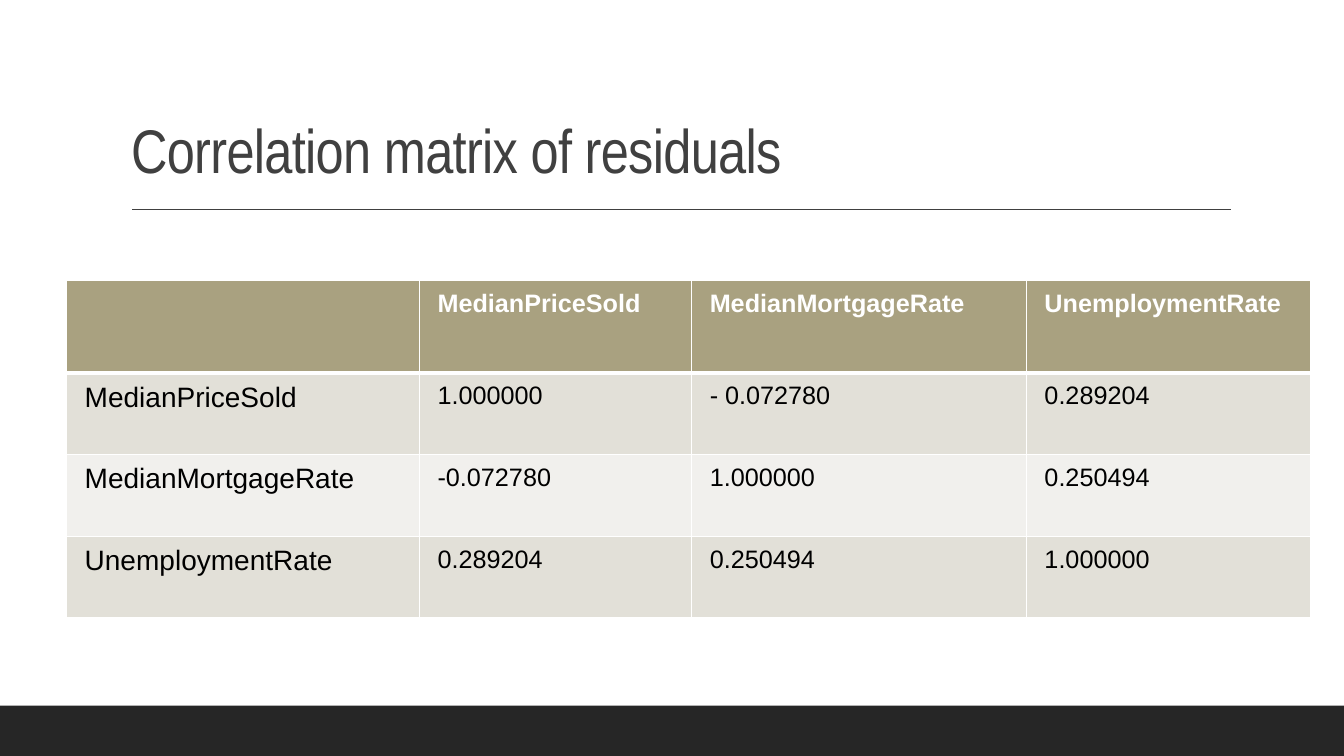
from lxml import etree
from pptx import Presentation
from pptx import util as u
from pptx.dml.color import RGBColor
from pptx.enum import shapes, text
from pptx.oxml.ns import qn

COLORS = {
    "paper": "FFFFFF", "title": "404040", "footer": "262626", "header": "A9A180",
    "odd": "E2E0D8", "even": "F1F0ED", "body": "000000",
}
VARIABLES = ["MedianPriceSold", "MedianMortgageRate", "UnemploymentRate"]
CORRELATIONS = [
    ["1.000000", "- 0.072780", "0.289204"],
    ["-0.072780", "1.000000", "0.250494"],
    ["0.289204", "0.250494", "1.000000"],
]
COLUMN_WIDTHS = [3.5, 2.7, 3.32, 2.82]
ROW_HEIGHTS = [0.92] + [0.81] * len(VARIABLES)


def color(name):
    return RGBColor.from_string(COLORS[name])


def add_border(cell, side, points):
    border = etree.SubElement(cell._tc.get_or_add_tcPr(), qn(f"a:ln{side}"), w=str(u.Pt(points)))
    fill = etree.SubElement(border, qn("a:solidFill"))
    etree.SubElement(fill, qn("a:srgbClr"), val=COLORS["paper"])


deck = Presentation()
deck.slide_width, deck.slide_height = u.Inches(13.33), u.Inches(7.5)
slide = deck.slides.add_slide(deck.slide_layouts[5])
slide.background.fill.solid()
slide.background.fill.fore_color.rgb = color("paper")

title = slide.shapes.title
title.left, title.top = u.Inches(1.2), u.Inches(0.31)
title.width, title.height = u.Inches(11), u.Inches(1.59)
title.text_frame.text = "Correlation matrix of residuals"
title.text_frame.vertical_anchor = text.MSO_ANCHOR.BOTTOM
heading = title.text_frame.paragraphs[0]
heading.alignment = text.PP_ALIGN.LEFT
heading.line_spacing = 0.9
heading_run = heading.runs[0]
heading_run.font.name = "Arial Narrow"
heading_run.font.size = u.Pt(44)
heading_run.font.color.rgb = color("title")
heading_run.font._element.set("spc", "-50")

rule = slide.shapes.add_connector(
    shapes.MSO_CONNECTOR.STRAIGHT,
    u.Inches(1.31), u.Inches(2.08), u.Inches(12.21), u.Inches(2.08))
rule.line.color.rgb = color("title")
rule.line.width = u.Pt(1)
etree.SubElement(rule._element.spPr, qn("a:effectLst"))

footer_height = deck.slide_height // 15
footer = slide.shapes.add_shape(
    shapes.MSO_SHAPE.RECTANGLE, 0, deck.slide_height - footer_height,
    deck.slide_width, footer_height)
footer.shadow.inherit = False
footer.fill.solid()
footer.fill.fore_color.rgb = color("footer")
footer.line.fill.background()

rows = [[""] + VARIABLES]
rows += [[name] + values for name, values in zip(VARIABLES, CORRELATIONS)]
matrix = slide.shapes.add_table(
    len(rows), len(rows[0]), u.Inches(0.66), u.Inches(2.78),
    u.Inches(sum(COLUMN_WIDTHS)), u.Inches(sum(ROW_HEIGHTS))).table
for column, width in zip(matrix.columns, COLUMN_WIDTHS):
    column.width = u.Inches(width)

for r, values in enumerate(rows):
    matrix.rows[r].height = u.Inches(ROW_HEIGHTS[r])
    band = "header" if r == 0 else "odd" if r % 2 else "even"
    for c, value in enumerate(values):
        cell = matrix.cell(r, c)
        cell.margin_left = cell.margin_right = u.Inches(0.18)
        cell.margin_top = cell.margin_bottom = u.Inches(0.09)
        for side in "LRTB":
            under_header = (r, side) in [(0, "B"), (1, "T")]
            add_border(cell, side, 3 if under_header else 1)
        cell.fill.solid()
        cell.fill.fore_color.rgb = color(band)
        cell.text_frame.text = value
        font = cell.text_frame.paragraphs[0].font
        font.name = "Arial"
        font.size = u.Pt(20 if r and c == 0 else 18)
        font.bold = r == 0
        font.color.rgb = color("body" if r else "paper")
        for run in cell.text_frame.paragraphs[0].runs:
            run.font.name = font.name
            run.font.size = font.size
            run.font.bold = font.bold
            run.font.color.rgb = font.color.rgb

deck.save("out.pptx")
